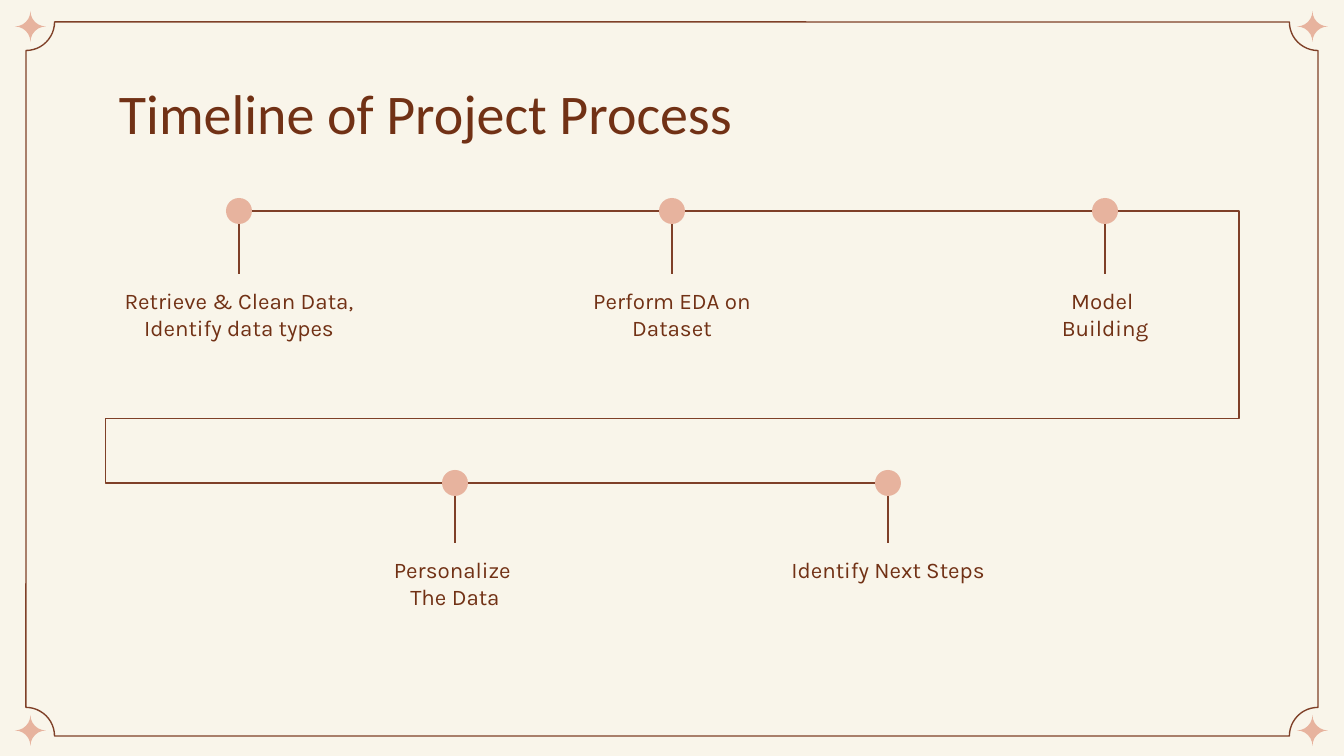
from pptx import Presentation
from pptx.dml.color import RGBColor
from pptx.enum.shapes import MSO_CONNECTOR as LINE, MSO_SHAPE as SHAPE
from pptx.enum.text import PP_ALIGN as ALIGN
from pptx.oxml.ns import qn
from pptx.util import Pt
from lxml.etree import SubElement

PX = 914400 / 134.4
CREAM, PINK, RUST, BROWN = "F9F5EA", "E7B39E", "7F4028", "713115"
STEP, RADIUS, INSET = 433, 13, 13
CAPTION_W, CAPTION_H = 264, 118
ROWS = [
    (239, 211, 274, [["Retrieve & Clean Data, Identify data types"],
                     ["Perform EDA on Dataset"],
                     ["Model ", "Building"]]),
    (455, 483, 543, [["Personalize ", "The Data"],
                     ["Identify Next Steps"]]),
]


def px(n):
    return round(n * PX)


def color(value):
    return RGBColor.from_string(value)


class Deck:
    """Draws styled elements on the current slide."""

    def __init__(self, prs):
        self.slide = prs.slides.add_slide(prs.slide_layouts[6])
        fill = self.slide.background.fill
        fill.solid()
        fill.fore_color.rgb = color(CREAM)

    def shape(self, kind, x, y, w, h, fill=None, line=None, adj=None):
        sp = self.slide.shapes.add_shape(kind, px(x), px(y), px(w), px(h))
        sp.shadow.inherit = False
        if fill:
            sp.fill.solid()
            sp.fill.fore_color.rgb = color(fill)
        else:
            sp.fill.background()
        if line:
            sp.line.color.rgb = color(line)
            sp.line.width = Pt(0.75)
        else:
            sp.line.fill.background()
        if adj is not None:
            sp.adjustments[0] = adj

    def line(self, x1, y1, x2, y2, kind=LINE.STRAIGHT):
        cx = self.slide.shapes.add_connector(kind, px(x1), px(y1), px(x2), px(y2))
        cx.line.color.rgb = color(RUST)
        cx.line.width = Pt(0.75)
        SubElement(cx._element.spPr, qn("a:effectLst"))
        return cx

    def bent(self, x1, y1, x2, y2, adjusts):
        cx = self.line(x1, y1, x2, y2, LINE.ELBOW)
        geom = cx._element.spPr.find(qn("a:prstGeom"))
        geom.set("prst", "bentConnector5")
        guides = geom.find(qn("a:avLst"))
        for i, value in enumerate(adjusts, 1):
            SubElement(guides, qn("a:gd"), name=f"adj{i}", fmla=f"val {value}")

    def text(self, x, y, w, h, lines, font, size, align=ALIGN.LEFT):
        tf = self.slide.shapes.add_textbox(px(x), px(y), px(w), px(h)).text_frame
        tf.word_wrap = True
        tf.margin_left = tf.margin_right = tf.margin_top = tf.margin_bottom = px(INSET)
        for i, line in enumerate(lines):
            p = tf.add_paragraph() if i else tf.paragraphs[0]
            p.alignment = align
            r = p.add_run()
            r.text = line
            r.font.name, r.font.size = font, Pt(size)
            r.font.color.rgb = color(BROWN)

    def frame(self):
        self.shape(SHAPE.PLAQUE, 26, 22, 1292, 714, line=RUST, adj=0.04)
        for y in (11, 715):
            for x in (15, 1297):
                self.shape(SHAPE.PLAQUE, x, y, 31, 31, fill=PINK, adj=0.5)

    def milestone(self, x, y, caption_top, lines):
        self.line(x, y + RADIUS, x, caption_top)
        self.shape(SHAPE.OVAL, x - RADIUS, y - RADIUS, 2 * RADIUS, 2 * RADIUS, fill=PINK)
        self.text(x - CAPTION_W // 2, caption_top, CAPTION_W, CAPTION_H,
                  lines, "Karla", 12, ALIGN.CENTER)


def main():
    prs = Presentation()
    prs.slide_width, prs.slide_height = px(1344), px(756)
    deck = Deck(prs)
    deck.frame()
    deck.text(106, 66, 1133, 84, ["Timeline of Project Process"], "Calibri", 30)
    for left, y, caption_top, captions in ROWS:
        for i, lines in enumerate(captions):
            x = left + i * STEP
            if i:
                deck.line(x - STEP + RADIUS, y, x - RADIUS, y)
            deck.milestone(x, y, caption_top, lines)
    (top_left, top_y, _, top), (low_left, low_y, _, _) = ROWS
    last = top_left + (len(top) - 1) * STEP
    deck.bent(last + RADIUS, top_y, low_left - RADIUS, low_y, (-17900, 76400, 149800))
    prs.save("out.pptx")


if __name__ == "__main__":
    main()
